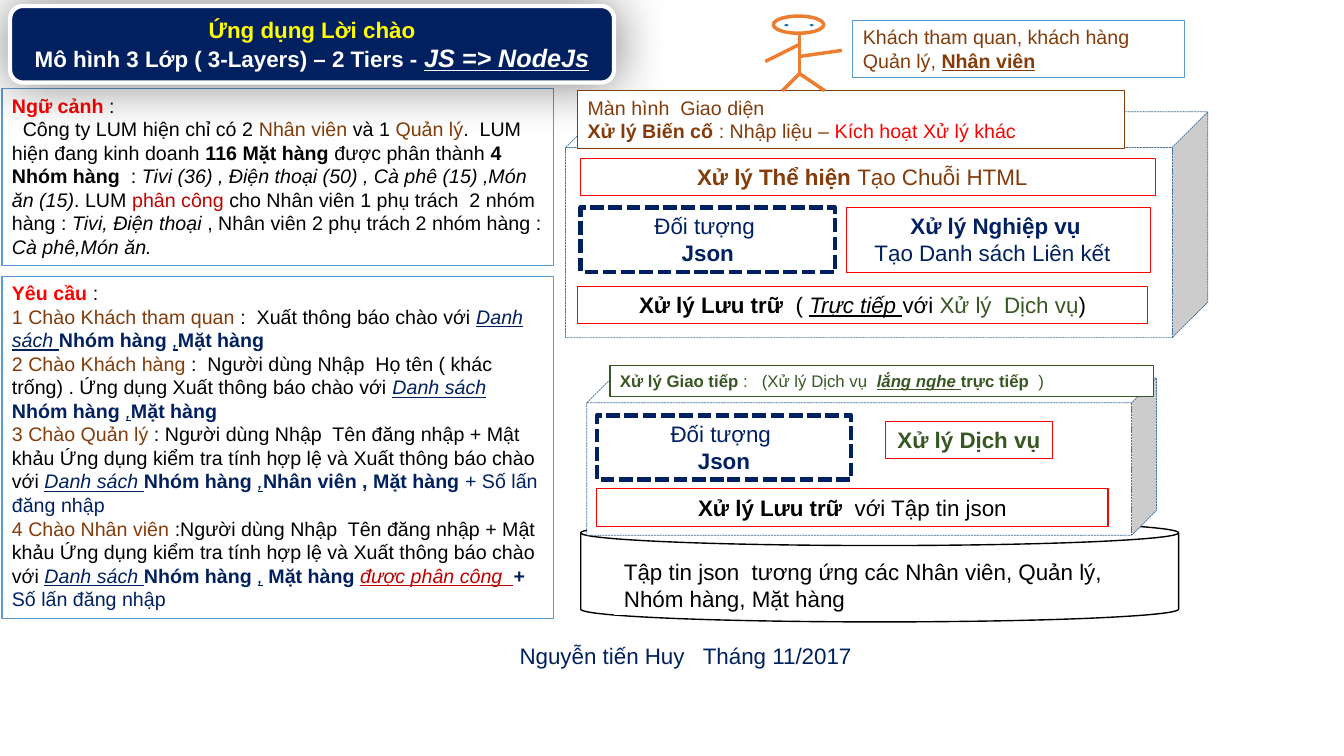
from lxml import etree
from pptx import Presentation
from pptx.dml.color import RGBColor
from pptx.enum.dml import MSO_LINE
from pptx.enum.shapes import MSO_CONNECTOR, MSO_SHAPE as SHAPE
from pptx.enum.text import MSO_ANCHOR as ANCHOR, PP_ALIGN as ALIGN
from pptx.oxml import parse_xml
from pptx.oxml.ns import nsdecls, qn
from pptx.util import Inches, Pt

BLACK, WHITE, NAVY, BLUE = "000000", "FFFFFF", "002060", "5B9BD5"
RED, DARK_RED, BROWN, GREEN = "FF0000", "C00000", "843C0B", "385723"
ORANGE, EYE_BLUE, STEEL, YELLOW = "ED7D31", "0070C0", "43739E", "FFFF00"


def rgb(value):
    return RGBColor.from_string(value)


class Board:
    """Holds the slide and its text style."""

    def __init__(self, slide, font="Arial"):
        self.shapes = slide.shapes
        self.font = font

    def add_text(self, tf, paragraphs, size, align, anchor):
        """Each run is (text, colour) or (text, colour, flags from 'biu')."""
        tf.word_wrap = True
        tf.vertical_anchor = anchor
        for i, runs in enumerate(paragraphs):
            p = tf.paragraphs[0] if i == 0 else tf.add_paragraph()
            p.alignment = align
            for text, color, *flags in runs:
                style = flags[0] if flags else ""
                r = p.add_run()
                r.text = text
                r.font.name = self.font
                r.font.size = Pt(size)
                r.font.color.rgb = rgb(color)
                r.font.bold = "b" in style
                r.font.italic = "i" in style
                r.font.underline = "u" in style

    def shape(self, kind, at, line=None, width=0.75, fill=WHITE, dash=None):
        sp = self.shapes.add_shape(kind, *map(Inches, at))
        sp.shadow.inherit = False
        sp.fill.solid()
        sp.fill.fore_color.rgb = rgb(fill)
        if line:
            sp.line.color.rgb = rgb(line)
            sp.line.width = Pt(width)
            sp.line.dash_style = dash
        else:
            sp.line.fill.background()
        return sp

    def box(self, at, paragraphs, line=None, size=16, align=ALIGN.CENTER):
        sp = self.shape(SHAPE.RECTANGLE, at, line)
        self.add_text(sp.text_frame, paragraphs, size, align, ANCHOR.TOP)

    def title(self, at, *paragraphs):
        sp = self.shape(SHAPE.ROUNDED_RECTANGLE, at, WHITE, 3, NAVY)
        effects = sp._element.spPr.find(qn("a:effectLst"))
        effects.append(parse_xml(
            f'<a:outerShdw {nsdecls("a")} blurRad="{Pt(38)}" dist="0" dir="5400000" '
            'algn="ctr" rotWithShape="0"><a:srgbClr val="000000">'
            '<a:alpha val="49000"/></a:srgbClr></a:outerShdw>'))
        self.add_text(sp.text_frame, paragraphs, 16, ALIGN.CENTER, ANCHOR.MIDDLE)
        sp.text_frame.paragraphs[-1].runs[-1].font.size = Pt(18)

    def caption(self, at, text):
        sp = self.shapes.add_textbox(*map(Inches, at))
        self.add_text(sp.text_frame, [[(text, NAVY)]], 16, ALIGN.CENTER, ANCHOR.MIDDLE)

    def layer(self, at):
        cube = self.shape(SHAPE.CUBE, at, STEEL, 0.5, dash=MSO_LINE.SQUARE_DOT)
        cube.adjustments[0] = 0.158

    def json_object(self, left, top):
        sp = self.shape(SHAPE.RECTANGLE, (left, top, 2.52, 0.64), NAVY, 3.25,
                        dash=MSO_LINE.SQUARE_DOT)
        self.add_text(sp.text_frame, [[("Đối tượng ", NAVY)], [("Json", NAVY, "b")]],
                      16, ALIGN.CENTER, ANCHOR.TOP)

    def limb(self, start, end):
        ln = self.shapes.add_connector(MSO_CONNECTOR.STRAIGHT, *map(Inches, start + end))
        ln.line.color.rgb = rgb(ORANGE)
        ln.line.width = Pt(2.5)
        etree.SubElement(ln._element.spPr, qn("a:effectLst"))

    def visitor(self):
        """Stick figure above the screen layer."""
        self.shape(SHAPE.OVAL, (7.67, 0.16, 0.5, 0.17), ORANGE, 2.5)
        neck, hip = (7.93, 0.33), (7.93, 0.73)
        for start, end in ((neck, hip), ((7.93, 0.44), (7.59, 0.61)), (hip, (8.18, 0.9)),
                           (hip, (7.76, 0.9)), ((7.93, 0.56), (8.35, 0.5))):
            self.limb(start, end)
        for left in (7.76, 8.01):
            self.shape(SHAPE.OVAL, (left, 0.22, 0.08, 0.06), WHITE, 2.5, EYE_BLUE)


def item_list(first, second):
    """Runs for the underlined list phrase followed by its bold item names."""
    return [("Danh sách ", NAVY, "iu"), (first, NAVY, "b"), (",", NAVY, "iu"),
            (second, NAVY, "b")]


CONTEXT = [
    [("Ngữ cảnh ", RED, "b"), (": ", BLACK)],
    [("  Công ty LUM hiện chỉ có 2 ", BLACK), ("Nhân viên ", BROWN), ("và 1 ", BLACK),
     ("Quản lý", BROWN), (".  LUM hiện đang kinh doanh ", BLACK),
     ("116 Mặt hàng ", BLACK, "b"), ("được phân thành ", BLACK),
     ("4  Nhóm hàng ", BLACK, "b"), (" : ", BLACK),
     ("Tivi (36) , Điện thoại (50) , Cà phê (15) ,Món ăn (15)", BLACK, "i"),
     (". LUM ", BLACK), ("phân công ", DARK_RED),
     ("cho Nhân viên 1 phụ trách  2 nhóm hàng : ", BLACK),
     ("Tivi, Điện thoại", BLACK, "i"),
     (" , Nhân viên 2 phụ trách 2 nhóm hàng :", BLACK),
     (" Cà phê,Món ăn.", BLACK, "i")],
]
LOGIN = ("Người dùng Nhập  Tên đăng nhập + Mật khảu Ứng dụng kiểm tra tính hợp lệ "
         "và Xuất thông báo chào với ")
GOODS = item_list("Nhóm hàng ", "Mặt hàng")
REQUIREMENTS = [
    [("Yêu cầu ", RED, "b"), (": ", BLACK)],
    [("1 Chào Khách tham quan ", BROWN), (":  Xuất thông báo chào với ", BLACK), *GOODS],
    [("2 Chào Khách hàng ", BROWN),
     (":  Người dùng Nhập  Họ tên ( khác trống) . Ứng dụng Xuất thông báo chào với ", BLACK),
     *GOODS],
    [("3 Chào Quản lý ", BROWN), (": " + LOGIN, BLACK),
     *item_list("Nhóm hàng ", "Nhân viên , Mặt hàng "), ("+ Số lấn đăng nhập", NAVY)],
    [("4 Chào Nhân viên ", BROWN), (":" + LOGIN, BLACK),
     *item_list("Nhóm hàng ", " Mặt hàng "), ("được phân công  ", DARK_RED, "iu"),
     ("+ ", NAVY, "b"), ("Số lấn đăng nhập", NAVY)],
]


def main():
    prs = Presentation()
    prs.slide_width, prs.slide_height = Inches(13.33), Inches(7.5)
    board = Board(prs.slides.add_slide(prs.slide_layouts[6]))

    board.box((0.02, 0.88, 5.47, 1.75), CONTEXT, BLUE, 14, ALIGN.LEFT)
    board.shape(SHAPE.CAN, (5.76, 5.16, 5.93, 1.01), BLACK, 1)
    board.box((6.09, 5.49, 5.14, 0.61),
              [[("Tập tin json  tương ứng các Nhân viên, Quản lý,  Nhóm hàng, Mặt hàng",
                 BLACK)]], align=ALIGN.LEFT)
    board.title((0.1, 0.06, 5.99, 0.76),
                [("Ứng dụng Lời chào", YELLOW, "b")],
                [("Mô hình 3 Lớp ( 3-Layers) – 2 Tiers - ", WHITE, "b"),
                 ("JS => NodeJs", WHITE, "biu")])
    board.caption((5.01, 6.3, 3.58, 0.4), "Nguyễn tiến Huy   Tháng 11/2017")
    board.box((0.02, 2.74, 5.47, 3.4), REQUIREMENTS, BLUE, 14, ALIGN.LEFT)

    # Client tier
    board.layer((5.61, 1.11, 6.37, 2.24))
    board.json_object(5.76, 2.06)
    board.box((5.73, 0.9, 5.42, 0.57),
              [[("Màn hình  Giao diện", BROWN)],
               [("Xử lý Biến cố ", BROWN, "b"), (": Nhập liệu – ", BROWN),
                ("Kích hoạt Xử lý khác", RED)]], BROWN, 14, ALIGN.LEFT)
    board.visitor()
    board.box((5.73, 2.84, 5.65, 0.37),
              [[("Xử lý Lưu trữ  ", BLACK, "b"), ("( ", BLACK), ("Trực tiếp ", BLACK, "iu"),
                ("với ", BLACK), ("Xử lý  Dịch vụ", GREEN), (")", BLACK)]], RED)
    board.box((8.4, 2.06, 3.01, 0.64),
              [[("Xử lý Nghiệp vụ ", NAVY, "b")], [("Tạo Danh sách Liên kết  ", NAVY)]], RED)
    board.box((5.76, 1.57, 5.7, 0.37),
              [[("Xử lý Thể hiện ", BROWN, "b"), ("Tạo Chuỗi HTML  ", BROWN)]], RED)
    board.box((8.46, 0.2, 3.29, 0.57),
              [[("Khách tham quan, khách hàng", BROWN)],
               [("Quản lý, ", BROWN), ("Nhân viên", BROWN, "bu")]], BLUE, 14, ALIGN.LEFT)

    # Service tier
    board.layer((5.82, 3.75, 5.65, 1.56))
    board.json_object(5.92, 4.12)
    board.box((6.05, 3.63, 5.39, 0.3),
              [[("Xử lý Giao tiếp ", GREEN, "b"), (":   (Xử lý Dịch vụ  ", GREEN),
                ("lắng nghe ", GREEN, "biu"), ("trực tiếp  ", GREEN, "b"), (")", GREEN)]],
              GREEN, 12, ALIGN.LEFT)
    board.box((5.92, 4.85, 5.07, 0.37),
              [[("Xử lý Lưu trữ  ", BLACK, "b"), ("với Tập tin json", BLACK)]], RED)
    board.box((8.78, 4.18, 1.66, 0.37), [[("Xử lý Dịch vụ", GREEN, "b")]], RED)

    prs.save("out.pptx")


if __name__ == "__main__":
    main()
